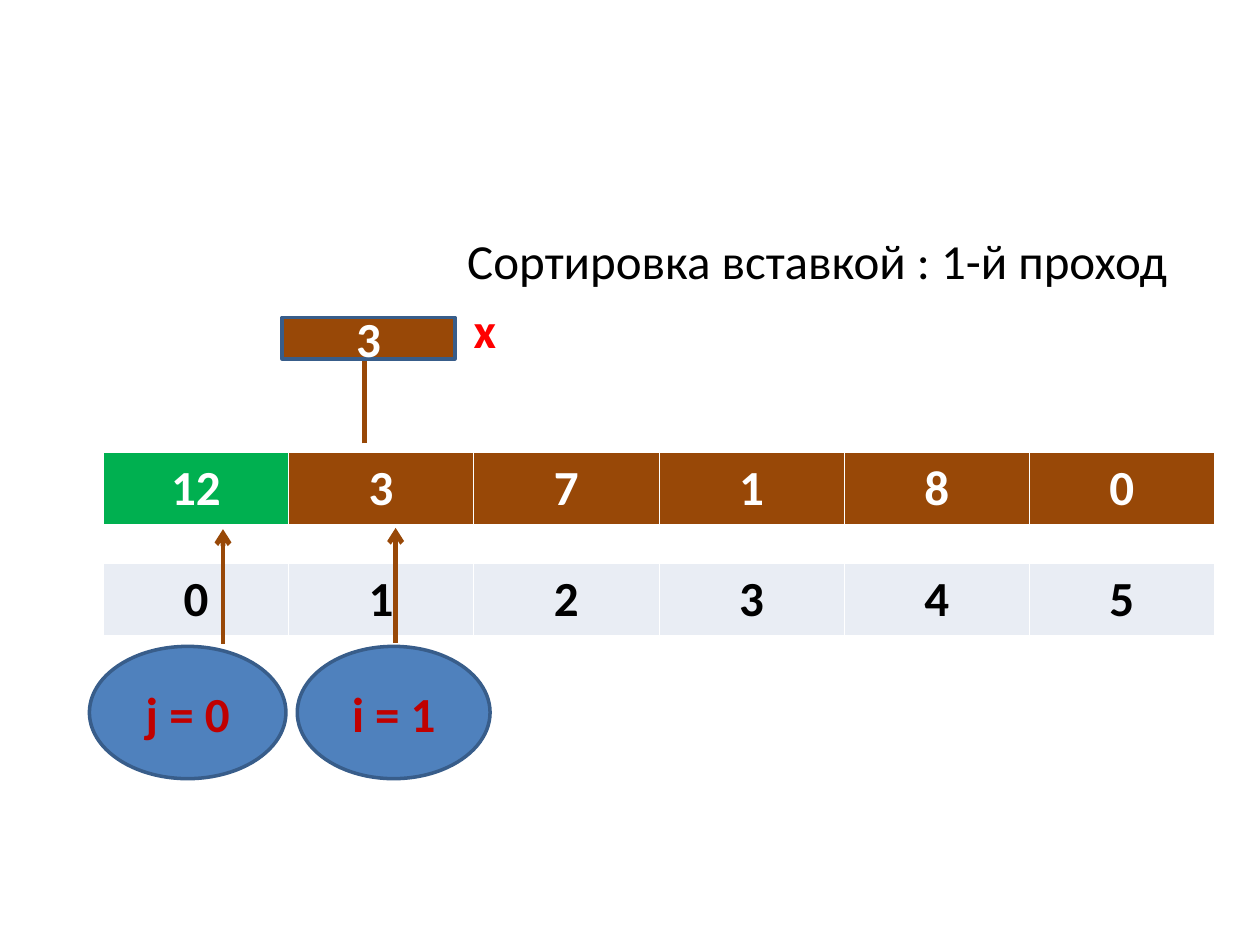
from dataclasses import dataclass

from lxml.etree import SubElement
from pptx import Presentation
from pptx.dml.color import RGBColor
from pptx.enum.shapes import MSO_CONNECTOR as CONN, MSO_SHAPE as SHAPE
from pptx.enum.text import MSO_ANCHOR as ANCHOR, MSO_AUTO_SIZE as FIT, PP_ALIGN as ALIGN
from pptx.oxml.ns import qn
from pptx.util import Inches, Pt


@dataclass(frozen=True)
class Theme:
    font: str = "Calibri"
    size: float = 28
    gap_size: float = 12
    outline_width: float = 2
    arrow_width: float = 2.75
    thin: float = 0.45
    thick: float = 1.47
    white: str = "FFFFFF"
    black: str = "000000"
    sorted_cell: str = "00B050"
    unsorted_cell: str = "984807"
    index_cell: str = "E9EDF4"
    bubble: str = "4F81BD"
    outline: str = "385D8A"
    counter: str = "C00000"
    variable: str = "FF0000"


def rgb(value):
    return RGBColor.from_string(value)


class Board:
    def __init__(self, slide, theme):
        self.s = slide
        self.theme = theme

    def set_text(self, tf, text, color, bold=True, align=ALIGN.CENTER):
        p = tf.paragraphs[0]
        p.text = text
        p.alignment = align
        p.font.name = self.theme.font
        p.font.size = Pt(self.theme.size)
        p.font.bold = bold
        p.font.color.rgb = rgb(color)

    def label(self, x, y, w, h, text, color, bold):
        tf = self.s.shapes.add_textbox(Inches(x), Inches(y), Inches(w), Inches(h)).text_frame
        tf.word_wrap = True
        tf.auto_size = FIT.SHAPE_TO_FIT_TEXT
        self.set_text(tf, text, color, bold, ALIGN.LEFT)

    def shape(self, kind, x, y, w, h, fill, text, color):
        sp = self.s.shapes.add_shape(kind, Inches(x), Inches(y), Inches(w), Inches(h))
        sp.shadow.inherit = False
        sp.fill.solid()
        sp.fill.fore_color.rgb = rgb(fill)
        sp.line.color.rgb = rgb(self.theme.outline)
        sp.line.width = Pt(self.theme.outline_width)
        sp.text_frame.vertical_anchor = ANCHOR.MIDDLE
        self.set_text(sp.text_frame, text, color)

    def up_arrow(self, x, bottom, top):
        c = self.s.shapes.add_connector(
            CONN.STRAIGHT, Inches(x), Inches(bottom), Inches(x), Inches(top))
        c.line.color.rgb = rgb(self.theme.unsorted_cell)
        c.line.width = Pt(self.theme.arrow_width)
        sp_pr = c._element.spPr
        SubElement(sp_pr.find(qn("a:ln")), qn("a:tailEnd"), type="arrow")
        SubElement(sp_pr, qn("a:effectLst"))

    def border(self, cell, widths):
        """Draw white borders; widths maps the sides L, R, T, B to points."""
        tc_pr = cell._tc.get_or_add_tcPr()
        for side, width in widths.items():
            ln = SubElement(tc_pr, qn(f"a:ln{side}"), w=str(int(Pt(width))))
            fill = SubElement(ln, qn("a:solidFill"))
            SubElement(fill, qn("a:srgbClr"), val=self.theme.white)

    def array_table(self, x, y, col_w, row_heights, values, sorted_count):
        """Values on top, an empty spacer row, then the indexes."""
        t = self.theme
        n = len(values)
        table = self.s.shapes.add_table(
            3, n, Inches(x), Inches(y), Inches(col_w * n), Inches(sum(row_heights))).table
        for col in table.columns:
            col.width = Inches(col_w)
        for row, height in zip(table.rows, row_heights):
            row.height = Inches(height)
        for i, value in enumerate(values):
            value_fill = t.sorted_cell if i < sorted_count else t.unsorted_cell
            column = [(str(value), value_fill, t.white),
                      ("", t.white, t.black),
                      (str(i), t.index_cell, t.black)]
            for r, (text, fill, color) in enumerate(column):
                cell = table.cell(r, i)
                self.border(cell, {"L": t.thin, "R": t.thin,
                                   "T": t.thick if r == 1 else t.thin,
                                   "B": t.thick if r == 0 else t.thin})
                cell.fill.solid()
                cell.fill.fore_color.rgb = rgb(fill)
                if text:
                    self.set_text(cell.text_frame, text, color)
                else:
                    SubElement(cell.text_frame.paragraphs[0]._p, qn("a:endParaRPr"),
                               sz=str(int(t.gap_size * 100)))


def main():
    prs = Presentation()
    prs.slide_width, prs.slide_height = Inches(10), Inches(7.5)
    t = Theme()
    board = Board(prs.slides.add_slide(prs.slide_layouts[6]), t)

    board.array_table(0.82, 3.59, 1.47, (0.57, 0.3, 0.57), (12, 3, 7, 1, 8, 0), 1)
    board.up_arrow(3.14, 5.1, 4.19)
    board.shape(SHAPE.OVAL, 2.36, 5.13, 1.53, 1.05, t.bubble, "i = 1", t.counter)
    board.up_arrow(2.89, 3.52, 2.62)
    board.shape(SHAPE.RECTANGLE, 2.24, 2.52, 1.37, 0.33, t.unsorted_cell, "3", t.white)
    board.label(3.66, 2.33, 0.55, 0.57, "х", t.variable, True)
    board.shape(SHAPE.OVAL, 0.71, 5.13, 1.56, 1.05, t.bubble, "j = 0", t.counter)
    board.up_arrow(1.77, 5.11, 4.2)
    board.label(3.61, 1.78, 5.89, 0.57, "Сортировка вставкой : 1-й проход", t.black, False)

    prs.save("out.pptx")


if __name__ == "__main__":
    main()
